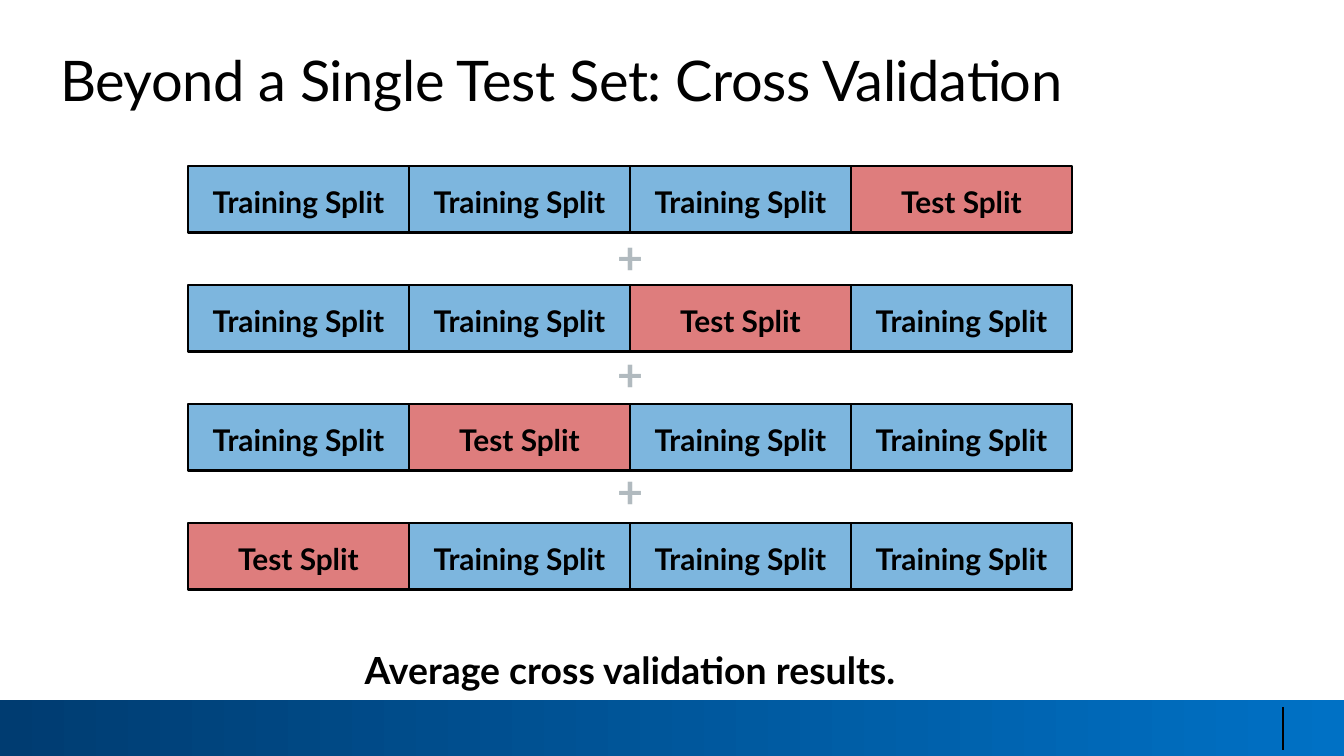
from dataclasses import dataclass

from lxml import etree
from pptx import Presentation
from pptx.dml.color import RGBColor
from pptx.enum.shapes import MSO_CONNECTOR, MSO_SHAPE
from pptx.enum.text import MSO_ANCHOR, MSO_AUTO_SIZE, PP_ALIGN
from pptx.oxml.ns import qn
from pptx.util import Emu, Pt

RECTANGLE = MSO_SHAPE.RECTANGLE
STRAIGHT = MSO_CONNECTOR.STRAIGHT
TOP, MIDDLE = MSO_ANCHOR.TOP, MSO_ANCHOR.MIDDLE
LEFT, CENTER = PP_ALIGN.LEFT, PP_ALIGN.CENTER
NO_AUTOFIT = MSO_AUTO_SIZE.NONE

EMU_PER_PX = 914400 / 134.4
PAGE_WIDTH, PAGE_HEIGHT = 1344, 756
FONT = "Lato"
COLORS = {
    "ink": "000000",
    "plus": "B1BABF",
    "training": "0070C0",
    "test": "C00000",
    "band_right": "0071C5",
    "band_left": "003C71",
}
SPLIT_OPACITY = 51

FOLDS = 4
GRID_LEFT, GRID_TOP = 188, 166
CELL_WIDTH, CELL_HEIGHT = 221, 67
ROW_PITCH = 119
PLUS_SIZE, PLUS_TOP, PLUS_PITCH = 54, 237, 117


@dataclass(frozen=True)
class Area:
    left: int
    top: int
    width: int
    height: int

    def emu(self) -> list[Emu]:
        return [px(n) for n in (self.left, self.top, self.width, self.height)]


@dataclass(frozen=True)
class TextStyle:
    size: int
    color: str = "ink"
    bold: bool = True


SPLIT_STYLE = TextStyle(16)
PLUS_STYLE = TextStyle(24, "plus")
CAPTION_STYLE = TextStyle(20)
TITLE_STYLE = TextStyle(30, bold=False)


def px(length: int) -> Emu:
    return Emu(round(length * EMU_PER_PX))


def rgb(name: str) -> RGBColor:
    return RGBColor.from_string(COLORS[name])


def format_span(span, style: TextStyle) -> None:
    span.font.name = FONT
    span.font.size = Pt(style.size)
    span.font.bold = style.bold
    span.font.color.rgb = rgb(style.color)


def write_centered(box, text: str, style: TextStyle) -> None:
    frame = box.text_frame
    frame.text = text
    frame.word_wrap = True
    frame.vertical_anchor = MIDDLE
    para = frame.paragraphs[0]
    para.alignment = CENTER
    para.line_spacing = Pt(21)
    format_span(para.runs[0], style)


def add_label(page, area: Area, text: str, style: TextStyle) -> None:
    write_centered(page.shapes.add_textbox(*area.emu()), text, style)


def add_split(page, area: Area, kind: str) -> None:
    """Draw one translucent cell of a fold, either training or test."""
    box = page.shapes.add_shape(RECTANGLE, *area.emu())
    box.shadow.inherit = False
    box.fill.solid()
    box.fill.fore_color.rgb = rgb(kind)
    color = box._element.spPr.find(qn("a:solidFill")).find(qn("a:srgbClr"))
    etree.SubElement(color, qn("a:alpha"), val=str(SPLIT_OPACITY * 1000))
    box.line.color.rgb = rgb("ink")
    box.line.width = Pt(1.5)
    write_centered(box, f"{kind.title()} Split", SPLIT_STYLE)


def add_footer(page) -> None:
    band = page.shapes.add_shape(RECTANGLE, *Area(0, 700, PAGE_WIDTH, 56).emu())
    band.shadow.inherit = False
    band.line.fill.background()
    band.fill.gradient()
    band.fill.gradient_angle = 180
    for stop, name in zip(band.fill.gradient_stops, ("band_right", "band_left")):
        stop.color.rgb = rgb(name)

    divider = page.shapes.add_connector(
        STRAIGHT, px(1283), px(707), px(1283), px(750)
    )
    divider.line.color.rgb = rgb("ink")
    divider.line.width = Pt(0.75)
    etree.SubElement(divider._element.spPr, qn("a:effectLst"))


def set_title(page, text: str) -> None:
    title = page.shapes.title
    title.left, title.top, title.width, title.height = Area(60, 46, 1240, 67).emu()
    frame = title.text_frame
    frame.text = text
    frame.auto_size = NO_AUTOFIT
    frame.vertical_anchor = TOP
    frame.margin_left = frame.margin_right = 0
    frame.margin_top = frame.margin_bottom = 0
    para = frame.paragraphs[0]
    para.alignment = LEFT
    span = para.runs[0]
    format_span(span, TITLE_STYLE)
    span._r.get_or_add_rPr().set("spc", "-20")


def add_folds(page) -> None:
    """Draw the rows of splits, the test split moving one cell left per row."""
    for row in range(FOLDS):
        for column in range(FOLDS):
            area = Area(
                GRID_LEFT + column * CELL_WIDTH,
                GRID_TOP + row * ROW_PITCH,
                CELL_WIDTH,
                CELL_HEIGHT,
            )
            is_test = row + column == FOLDS - 1
            add_split(page, area, "test" if is_test else "training")

    plus_left = GRID_LEFT + (FOLDS * CELL_WIDTH - PLUS_SIZE) // 2
    for gap in range(FOLDS - 1):
        top = PLUS_TOP + gap * PLUS_PITCH
        add_label(page, Area(plus_left, top, PLUS_SIZE, PLUS_SIZE), "+", PLUS_STYLE)


def main() -> None:
    deck = Presentation()
    deck.slide_width, deck.slide_height = px(PAGE_WIDTH), px(PAGE_HEIGHT)
    page = deck.slides.add_slide(deck.slide_layouts.get_by_name("Title Only"))
    add_footer(page)
    set_title(page, "Beyond a Single Test Set: Cross Validation")
    add_folds(page)
    caption_area = Area(GRID_LEFT, 645, FOLDS * CELL_WIDTH, 54)
    add_label(page, caption_area, "Average cross validation results.", CAPTION_STYLE)
    deck.save("out.pptx")


if __name__ == "__main__":
    main()
